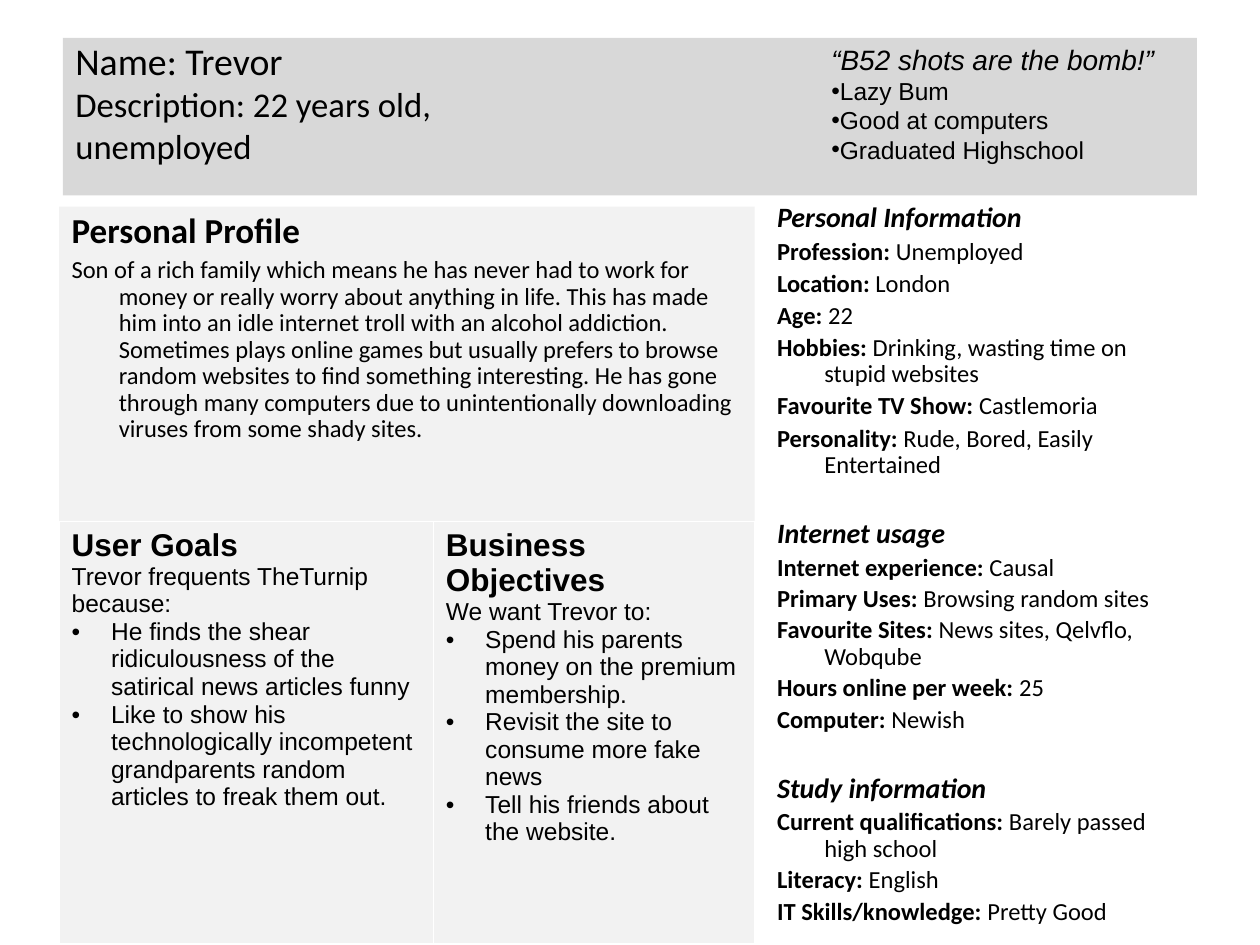
from lxml.etree import SubElement
from pptx import Presentation
from pptx.dml.color import RGBColor
from pptx.enum.shapes import MSO_SHAPE
from pptx.enum.text import MSO_ANCHOR, PP_ALIGN
from pptx.oxml import parse_xml
from pptx.oxml.ns import nsdecls, qn
from pptx.util import Pt

BLACK = RGBColor(0, 0, 0)
BANNER = RGBColor(0xD8, 0xD8, 0xD8)
PANEL = RGBColor(0xF2, 0xF2, 0xF2)


def add_para(tf, runs, font, indent=None, bullet=False, spacing=None, before=0):
    """Add a paragraph; runs are (text, size, bold, italic)."""
    p = tf.paragraphs[0]
    if p.runs:
        p = tf.add_paragraph()
    p.alignment = PP_ALIGN.LEFT
    p.space_before = Pt(before)
    if spacing:
        p.line_spacing = spacing
    pPr = p._p.get_or_add_pPr()
    if indent:
        margin, first = indent
        pPr.set("marL", str(Pt(margin)))
        pPr.set("indent", str(Pt(first)))
    if bullet:
        SubElement(pPr, qn("a:buFont")).set("typeface", "Arial")
        SubElement(pPr, qn("a:buChar")).set("char", "•")
    for text, size, bold, italic in runs:
        r = p.add_run()
        r.text = text
        r.font.name, r.font.size = font, Pt(size)
        r.font.bold, r.font.italic = bold, italic
        r.font.color.rgb = BLACK


def add_box(x, y, w, h, fill=None):
    """Add a filled rectangle, or a plain text box, and return its text frame."""
    if fill is None:
        sp = s.shapes.add_textbox(Pt(x), Pt(y), Pt(w), Pt(h))
    else:
        sp = s.shapes.add_shape(MSO_SHAPE.RECTANGLE, Pt(x), Pt(y), Pt(w), Pt(h))
        sp.shadow.inherit = False
        sp.fill.solid()
        sp.fill.fore_color.rgb = fill
        sp.line.fill.background()
    tf = sp.text_frame
    tf.word_wrap = True
    tf.vertical_anchor = MSO_ANCHOR.TOP
    return tf


prs = Presentation()
prs.slide_width, prs.slide_height = Pt(720), Pt(540)
s = prs.slides.add_slide(prs.slide_layouts[6])
HANGING = (27, -27)

# Banner with name and description
tf = add_box(36, 21.6, 648, 90, BANNER)
tf.margin_top = 0
for text, size in [("Name: Trevor", 21.6),
                   ("Description: 22 years old,", 19.8),
                   ("unemployed", 19.8)]:
    add_para(tf, [(text, size, False, False)], "Calibri")

# Personal profile
tf = add_box(33.8, 118.1, 397.4, 421.9, PANEL)
add_para(tf, [("Personal Profile", 20, True, False)], "Calibri", HANGING, spacing=0.9)
profile = (
    "Son of a rich family which means he has never had to work for money or really "
    "worry about anything in life. This has made him into an idle internet troll with "
    "an alcohol addiction. Sometimes plays online games but usually prefers to browse "
    "random websites to find something interesting. He has gone through many computers "
    "due to unintentionally downloading viruses from some shady sites."
)
add_para(tf, [(profile, 14, False, False)], "Calibri", HANGING, spacing=0.9, before=4)

# Facts column: heading, gap above heading, gap above each fact, facts
sections = [
    ("Personal Information", 0, 3.2, [
        ("Profession: ", "Unemployed"),
        ("Location: ", "London"),
        ("Age: ", "22"),
        ("Hobbies: ", "Drinking, wasting time on stupid websites"),
        ("Favourite TV Show: ", "Castlemoria"),
        ("Personality: ", "Rude, Bored, Easily Entertained"),
    ]),
    ("Internet usage", 23.4, 2.8, [
        ("Internet experience: ", "Causal"),
        ("Primary Uses: ", "Browsing random sites"),
        ("Favourite Sites: ", "News sites, Qelvflo, Wobqube"),
        ("Hours online per week: ", "25"),
        ("Computer: ", "Newish"),
    ]),
    ("Study information", 23.4, 2.8, [
        ("Current qualifications: ", "Barely passed high school"),
        ("Literacy: ", "English"),
        ("IT Skills/knowledge: ", "Pretty Good"),
    ]),
]
tf = add_box(437, 112.5, 247, 427.5)
for heading, head_gap, gap, facts in sections:
    add_para(tf, [(heading, 16, True, True)], "Calibri", HANGING,
             spacing=0.9, before=head_gap)
    for label, value in facts:
        add_para(tf, [(label, 14, True, False), (value, 14, False, False)],
                 "Calibri", HANGING, spacing=0.9, before=gap)

# Goals table
goals = [
    ("User Goals", "Trevor frequents TheTurnip because:", [
        "He finds the shear ridiculousness of the satirical news articles funny",
        "Like to show his technologically incompetent grandparents random articles "
        "to freak them out.",
    ]),
    ("Business Objectives", "We want Trevor to:", [
        "Spend his parents money on the premium membership.",
        "Revisit the site to consume more fake news",
        "Tell his friends about the website.",
    ]),
]
table = s.shapes.add_table(1, 2, Pt(33.8), Pt(298), Pt(397.4), Pt(242)).table
table.first_row = table.horz_banding = False
for col, width in zip(table.columns, (213.8, 183.6)):
    col.width = Pt(width)
for cell, (heading, intro, points) in zip(table.rows[0].cells, goals):
    cell.fill.solid()
    cell.fill.fore_color.rgb = PANEL
    tcPr = cell._tc.get_or_add_tcPr()
    for i, (side, width) in enumerate([("L", 1), ("R", 1), ("T", 1), ("B", 3)]):
        tcPr.insert(i, parse_xml(
            f'<a:ln{side} {nsdecls("a")} w="{Pt(width)}"><a:solidFill>'
            f'<a:srgbClr val="FFFFFF"/></a:solidFill></a:ln{side}>'))
    tf = cell.text_frame
    add_para(tf, [(heading, 18, True, False)], "Arial")
    add_para(tf, [(intro, 14, False, False)], "Arial")
    for point in points:
        add_para(tf, [(point, 14, False, False)], "Arial", (22.5, -22.5), bullet=True)

# Quote and traits
tf = add_box(468, 20.9, 230.4, 97.2)
add_para(tf, [("“B52 shots are the bomb!”", 16, False, True)], "Arial")
for trait in ("Lazy Bum", "Good at computers", "Graduated Highschool"):
    add_para(tf, [(trait, 14, False, False)], "Arial", (0, -7.2), bullet=True,
             spacing=Pt(16.7))

prs.save("out.pptx")
